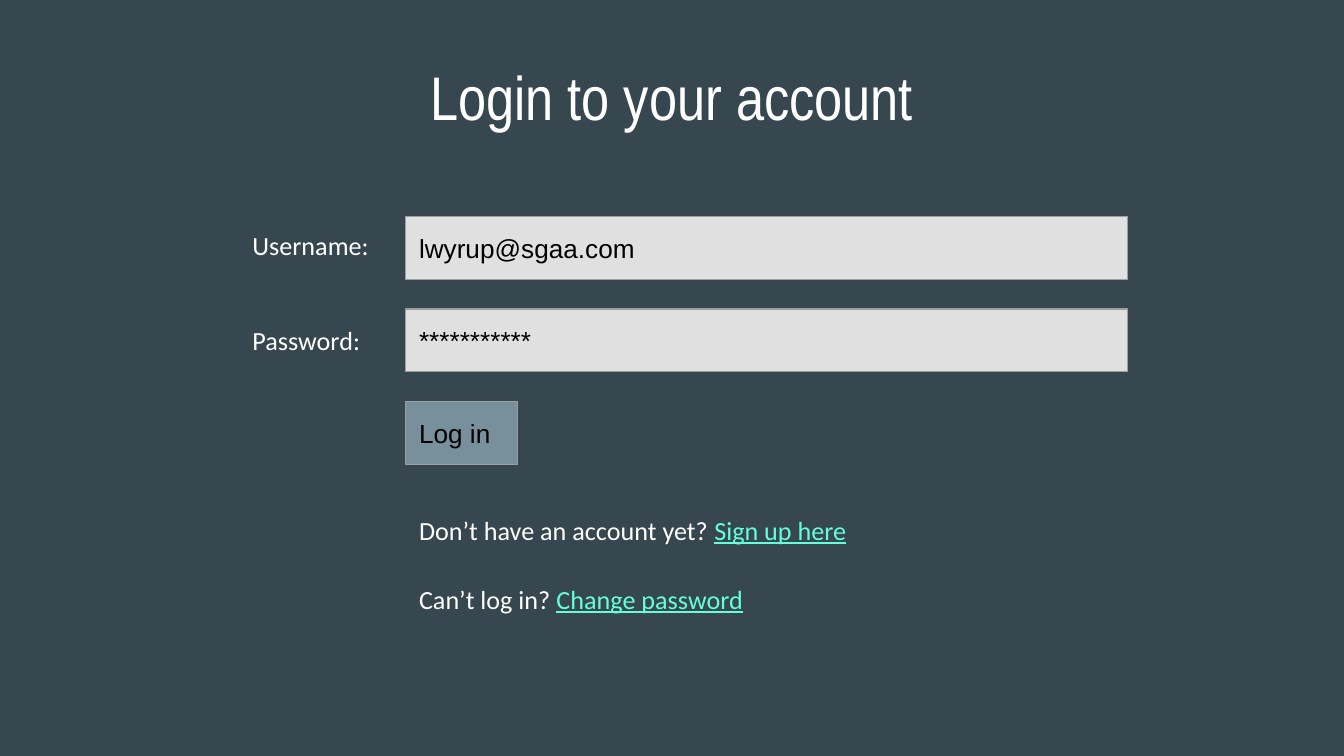
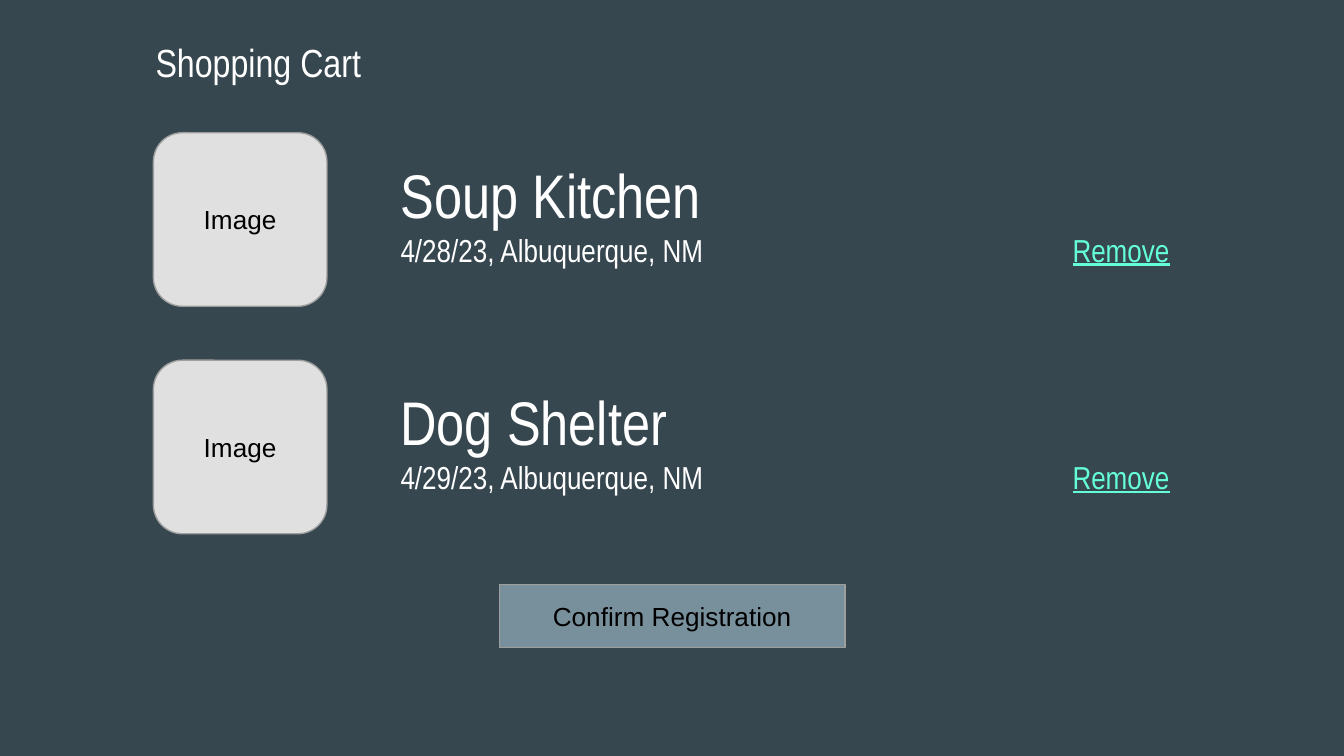
from lxml import etree
from pptx import Presentation
from pptx import util as u
from pptx.dml.color import RGBColor
from pptx.enum import shapes, text
from pptx.oxml.ns import qn

# Content
LOGIN_TITLE = "Login to your account"
LABELS = ["Username:", "Password:"]
ENTRIES = ["lwyrup@sgaa.com", "***********"]
LOGIN_BUTTON = "Log in"
PROMPTS = [
    ("Don’t have an account yet? ", "Sign up here"),
    ("Can’t log in? ", "Change password"),
]
CART_TITLE = "Shopping Cart"
EVENTS = [
    ("Soup Kitchen", "4/28/23, Albuquerque, NM"),
    ("Dog Shelter", "4/29/23, Albuquerque, NM"),
]
THUMBNAIL = "Image"
REMOVE = "Remove"
CONFIRM_BUTTON = "Confirm Registration"

# Shared style
SLATE = RGBColor(0x37, 0x47, 0x4F)
WHITE = RGBColor(0xFF, 0xFF, 0xFF)
BLACK = RGBColor(0x00, 0x00, 0x00)
FIELD = RGBColor(0xE0, 0xE0, 0xE0)
BUTTON = RGBColor(0x78, 0x90, 0x9C)
BORDER = RGBColor(0x9E, 0x9E, 0x9E)
LINK = RGBColor(0x64, 0xFF, 0xDA)
TITLE_FONT, BODY_FONT, FORM_FONT = "Arial Narrow", "Calibri", "Arial"
BODY_SIZE = 14
PAD = u.Cm(0.25)
LEFT, CENTER = text.PP_ALIGN.LEFT, text.PP_ALIGN.CENTER
RECT = shapes.MSO_SHAPE.RECTANGLE
ROUNDED = shapes.MSO_SHAPE.ROUNDED_RECTANGLE

# Layout in cm
FORM_X, FORM_Y, FORM_W = 7.67, 4.09, 13.64
BOX_H, FORM_STEP = 1.19, 1.75
PROMPT_Y, PROMPT_STEP = 9.47, 1.3
EVENT_Y, EVENT_STEP = 2.51, 4.3
THUMB_SIZE = 3.28
REMOVE_TAB = 12.7


def add_run(p, words, font, size, color=WHITE, link=False):
    r = p.add_run()
    r.text = words
    r.font.name, r.font.size = font, u.Pt(size)
    r.font.color.rgb = LINK if link else color
    if link:
        r.font.underline = True


def prepare_frame(sp, anchor=text.MSO_ANCHOR.TOP):
    tf = sp.text_frame
    tf.word_wrap = True
    tf.auto_size = text.MSO_AUTO_SIZE.NONE
    tf.vertical_anchor = anchor
    tf.margin_left = tf.margin_right = tf.margin_top = tf.margin_bottom = PAD
    return tf


def add_text_box(s, x, y, w, h):
    return prepare_frame(s.shapes.add_textbox(*map(u.Cm, (x, y, w, h))))


def add_slide(prs, title, box, size, align):
    s = prs.slides.add_slide(prs.slide_layouts[5])
    sp = s.shapes.title
    sp.left, sp.top, sp.width, sp.height = map(u.Cm, box)
    p = prepare_frame(sp).paragraphs[0]
    p.alignment = align
    add_run(p, title, TITLE_FONT, size)
    return s


def add_box(s, words, x, y, w, h, fill, align=LEFT, kind=RECT):
    sp = s.shapes.add_shape(kind, *map(u.Cm, (x, y, w, h)))
    sp.shadow.inherit = False
    sp.fill.solid()
    sp.fill.fore_color.rgb = fill
    sp.line.color.rgb = BORDER
    sp.line.width = u.Pt(0.75)
    p = prepare_frame(sp, text.MSO_ANCHOR.MIDDLE).paragraphs[0]
    p.alignment = align
    add_run(p, words, FORM_FONT, BODY_SIZE, BLACK)


def add_tab_stop(p, position):
    tabs = etree.SubElement(p._p.get_or_add_pPr(), qn("a:tabLst"))
    etree.SubElement(tabs, qn("a:tab"), pos=str(int(u.Cm(position))), algn="l")


def build_login(prs):
    s = add_slide(prs, LOGIN_TITLE, (6.66, 0.86, 12.07, 2), 33, CENTER)

    # Form fields and button
    for i, entry in enumerate(ENTRIES):
        add_box(s, entry, FORM_X, FORM_Y + i * FORM_STEP, FORM_W, BOX_H, FIELD)
    button_y = FORM_Y + len(ENTRIES) * FORM_STEP
    add_box(s, LOGIN_BUTTON, FORM_X, button_y, 2.11, BOX_H, BUTTON)

    # Field labels
    tf = add_text_box(s, 4.52, FORM_Y, 4.34, 4.11)
    for i, label in enumerate(LABELS):
        p = tf.add_paragraph() if i else tf.paragraphs[0]
        p.space_before = u.Pt(34 if i else 0)
        add_run(p, label, BODY_FONT, BODY_SIZE)

    # Prompts with links
    for i, (question, action) in enumerate(PROMPTS):
        tf = add_text_box(s, FORM_X, PROMPT_Y + i * PROMPT_STEP, FORM_W, 1.12)
        p = tf.paragraphs[0]
        add_run(p, question, BODY_FONT, BODY_SIZE)
        add_run(p, action, BODY_FONT, BODY_SIZE, link=True)


def build_cart(prs):
    s = add_slide(prs, CART_TITLE, (2.69, 0.48, 12.07, 1.6), 21, LEFT)

    # One row per event
    for i, (name, details) in enumerate(EVENTS):
        y = EVENT_Y + i * EVENT_STEP
        add_box(s, THUMBNAIL, 2.9, y, THUMB_SIZE, THUMB_SIZE, FIELD, CENTER, ROUNDED)
        tf = add_text_box(s, 7.32, y + 0.2, 15.16, 3.66)
        add_run(tf.paragraphs[0], name, TITLE_FONT, 33)
        p = tf.add_paragraph()
        add_tab_stop(p, REMOVE_TAB)
        add_run(p, details + "\t", TITLE_FONT, 17)
        add_run(p, REMOVE, TITLE_FONT, 17, link=True)

    add_box(s, CONFIRM_BUTTON, 9.44, 11.05, 6.53, BOX_H, BUTTON, CENTER)


def main():
    prs = Presentation()
    prs.slide_width, prs.slide_height = u.Cm(25.4), u.Cm(14.29)
    fill = prs.slide_master.background.fill
    fill.solid()
    fill.fore_color.rgb = SLATE
    build_login(prs)
    build_cart(prs)
    prs.save("out.pptx")


if __name__ == "__main__":
    main()
